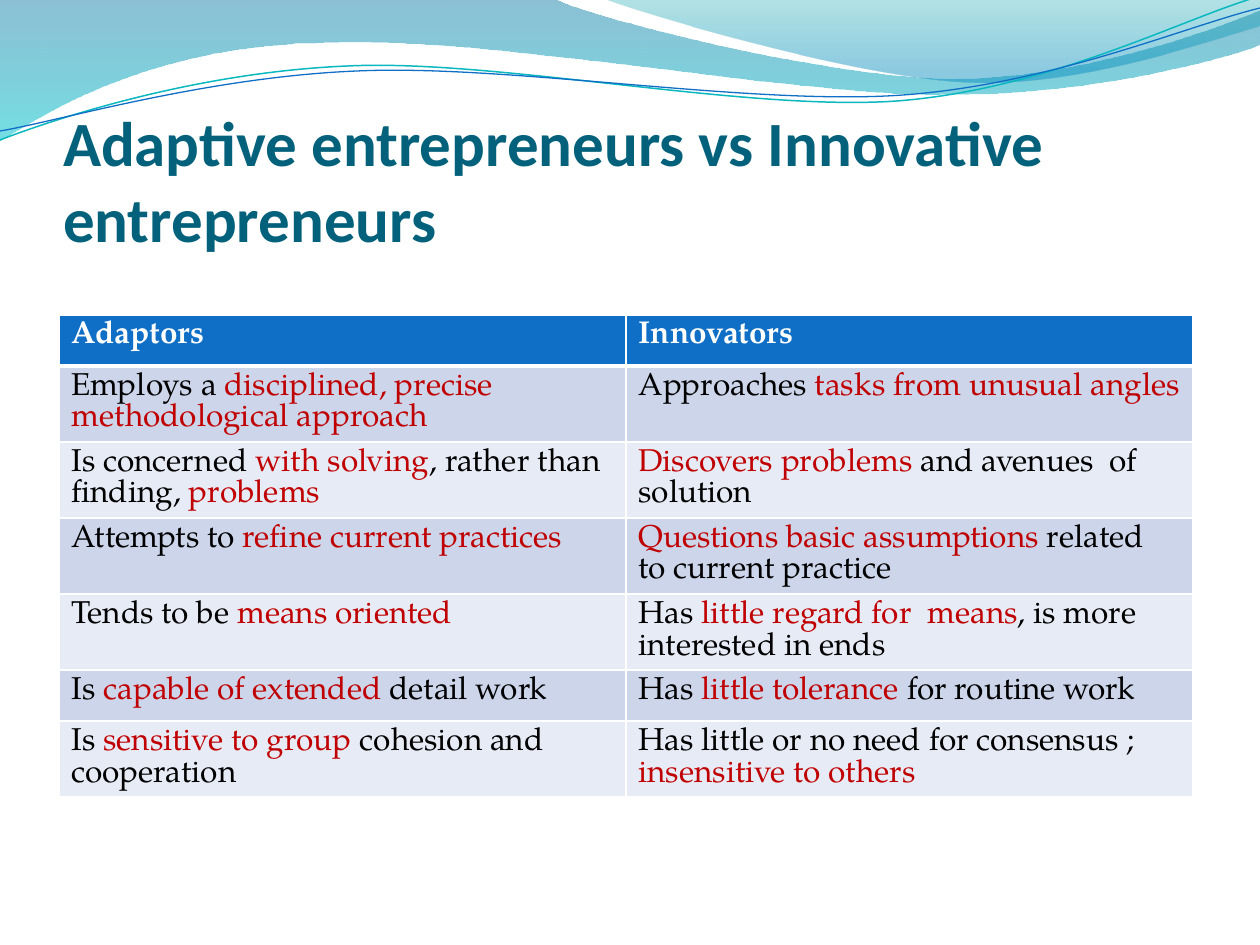
import math

from lxml import etree
from pptx import Presentation
from pptx import util as u
from pptx.dml.color import RGBColor
from pptx.enum import text
from pptx.oxml import ns

SCALE = 914400 / 126  # EMU in one px
WHITE = RGBColor(0xFF, 0xFF, 0xFF)
BLACK = RGBColor(0, 0, 0)
RED = RGBColor(0xC0, 0, 0)
TITLE_TEAL = RGBColor(0x04, 0x61, 0x7B)
BLUE = RGBColor(0x0F, 0x6F, 0xC6)
LINE_TEAL = RGBColor(0x0A, 0xB8, 0xBF)
BANDS = RGBColor(0xCC, 0xD5, 0xEA), RGBColor(0xE7, 0xEB, 0xF5)

# Gradient stops: position, colour, opacity in percent
WAVE_STOPS = [(0, RGBColor(0, 0x74, 0xA1), 45), (1, RGBColor(0, 0xC6, 0xCF), 55)]
CREST_STOPS = [(0, RGBColor(0, 0xA1, 0xA9), 30), (0.8, RGBColor(0, 0x8B, 0xBF), 45)]

# Outlines: one point is a straight step, three points are a Bezier curve
WAVE = [[(0, 0)], [(554, -1)],
        [(600, 21), (837, 79), (955, 79)], [(1074, 79), (1207, 33), (1260, 11)],
        [(1261, 45)], [(1239, 55), (1096, 96), (940, 95)],
        [(784, 95), (481, 35), (324, 43)], [(163, 45), (58, 105), (-1, 142)]]
CREST = [[(604, -1)], [(641, 14), (859, 78), (969, 82)],
         [(1079, 87), (1211, 40), (1260, 26)], [(1260, 0)]]
TEAL_CURVE = [[(0, 140)], [(60, 117), (199, 72), (349, 66)],
              [(497, 59), (747, 112), (898, 101)], [(1050, 89), (1182, 19), (1257, -3)]]
BLUE_CURVE = [[(0, 131)], [(59, 121), (207, 77), (357, 71)],
              [(508, 64), (752, 106), (903, 95)], [(1053, 84), (1186, 26), (1260, 8)]]
CURVE_TILT = -2.7  # degrees
CURVE_CENTRE = 629, 73

# Asterisks enclose the red words
ROWS = [
    ("Adaptors", "Innovators"),
    ("Employs a *disciplined, precise methodological approach*",
     "Approaches *tasks from unusual angles*"),
    ("Is concerned *with solving*, rather than finding, *problems*",
     "*Discovers problems *and avenues  of solution"),
    ("Attempts to *refine current practices*",
     "*Questions basic assumptions *related  to current practice"),
    ("Tends to be *means oriented*",
     "Has *little regard for  means*, is more interested in ends"),
    ("Is *capable of extended* detail work",
     "Has *little tolerance *for routine work"),
    ("Is *sensitive to group *cohesion and cooperation",
     "Has little or no need for consensus ; *insensitive to others*"),
]
ROW_HEIGHT = 51  # rows with two lines grow


def px(length):
    return u.Emu(round(length * SCALE))


def assign(target, **values):
    for name, value in values.items():
        setattr(target, name, value)


def add_span(para, words, size, face, colour, bold):
    span = para.add_run()
    span.text = words
    assign(span.font, size=u.Pt(size), name=face, bold=bold)
    span.font.color.rgb = colour


def turn(outline, degrees):
    """Turn an outline clockwise about the centre of the curves."""
    sine, cosine = math.sin(math.radians(degrees)), math.cos(math.radians(degrees))
    left, top = CURVE_CENTRE
    return [[(left + (x - left) * cosine - (y - top) * sine,
              top + (x - left) * sine + (y - top) * cosine) for x, y in part]
            for part in outline]


def add_outline(page, outline, closed):
    # Tenths of a px keep turned points exact
    points = [(round(x * 10), round(y * 10)) for part in outline for x, y in part]
    builder = page.shapes.build_freeform(*points[0], scale=SCALE / 10)
    builder.add_line_segments(points[1:], close=closed)
    shape = builder.convert_to_shape()
    shape.shadow.inherit = False
    # Join the three steps of each Bezier part into one curve
    steps = iter(shape.element.xpath(".//a:lnTo"))
    for part in outline[1:]:
        step = next(steps)
        if len(part) == 3:
            step.tag = ns.qn("a:cubicBezTo")
            for _ in range(2):
                control = next(steps)
                step.append(control[0])
                control.getparent().remove(control)
    return shape


def add_wave(page, outline, stops):
    shape = add_outline(page, outline, True)
    shape.line.fill.background()
    shape.fill.gradient()
    shape.fill.gradient_angle = 270
    for stop, (position, colour, _) in zip(shape.fill.gradient_stops, stops):
        stop.position = position
        stop.color.rgb = colour
    colours = shape.element.xpath(".//a:gsLst/a:gs/a:srgbClr")
    for node, (_, _, opacity) in zip(colours, stops):
        etree.SubElement(node, ns.qn("a:alpha"), val=str(opacity * 1000))


def add_curve(page, outline, colour, width):
    shape = add_outline(page, turn(outline, -CURVE_TILT), False)
    shape.rotation = CURVE_TILT
    shape.fill.background()
    shape.line.color.rgb = colour
    shape.line.width = u.Pt(width)


def set_title(page, words):
    title = page.shapes.title
    page.shapes.element.append(title.element)  # in front of the waves
    assign(title, left=px(63), top=px(97), width=px(1134), height=px(158))
    frame = title.text_frame
    assign(frame, margin_left=0, margin_right=0, margin_top=u.Inches(0.05),
           margin_bottom=0, word_wrap=True, auto_size=text.MSO_AUTO_SIZE.NONE,
           vertical_anchor=text.MSO_ANCHOR.BOTTOM)
    para = frame.paragraphs[0]
    para.alignment = text.PP_ALIGN.LEFT
    add_span(para, words, 36, "Calibri", TITLE_TEAL, True)


def set_borders(cell, **widths):
    properties = cell._tc.get_or_add_tcPr()
    for side in "LRTB":
        line = etree.SubElement(properties, ns.qn(f"a:ln{side}"),
                                w=str(u.Pt(widths.get(side, 1))))
        fill = etree.SubElement(line, ns.qn("a:solidFill"))
        etree.SubElement(fill, ns.qn("a:srgbClr"), val=str(WHITE))


def fill_cell(cell, words, row):
    header = row == 0
    # A thick rule parts the header from the body
    set_borders(cell, B=3 if header else 1, T=3 if row == 1 else 1)
    cell.fill.solid()
    cell.fill.fore_color.rgb = BLUE if header else BANDS[(row - 1) % 2]
    para = cell.text_frame.paragraphs[0]
    for index, piece in enumerate(words.split("*")):
        if piece:
            colour = WHITE if header else RED if index % 2 else BLACK
            add_span(para, piece, 18, "TeX Gyre Pagella", colour, header)


def add_comparison(page):
    frame = page.shapes.add_table(len(ROWS), 2, px(59), px(315),
                                  px(1134), px(ROW_HEIGHT * len(ROWS)))
    for row, entries in enumerate(ROWS):
        for column, words in enumerate(entries):
            fill_cell(frame.table.cell(row, column), words, row)
    frame.height = px(543)


def main():
    deck = Presentation()
    assign(deck, slide_width=px(1260), slide_height=px(945))
    page = deck.slides.add_slide(deck.slide_layouts[5])
    # Waves along the top
    add_wave(page, WAVE, WAVE_STOPS)
    add_wave(page, CREST, CREST_STOPS)
    add_curve(page, TEAL_CURVE, LINE_TEAL, 0.85)
    add_curve(page, BLUE_CURVE, BLUE, 0.75)
    # Title and table
    set_title(page, "Adaptive entrepreneurs vs Innovative entrepreneurs")
    add_comparison(page)
    deck.save("out.pptx")


if __name__ == "__main__":
    main()
